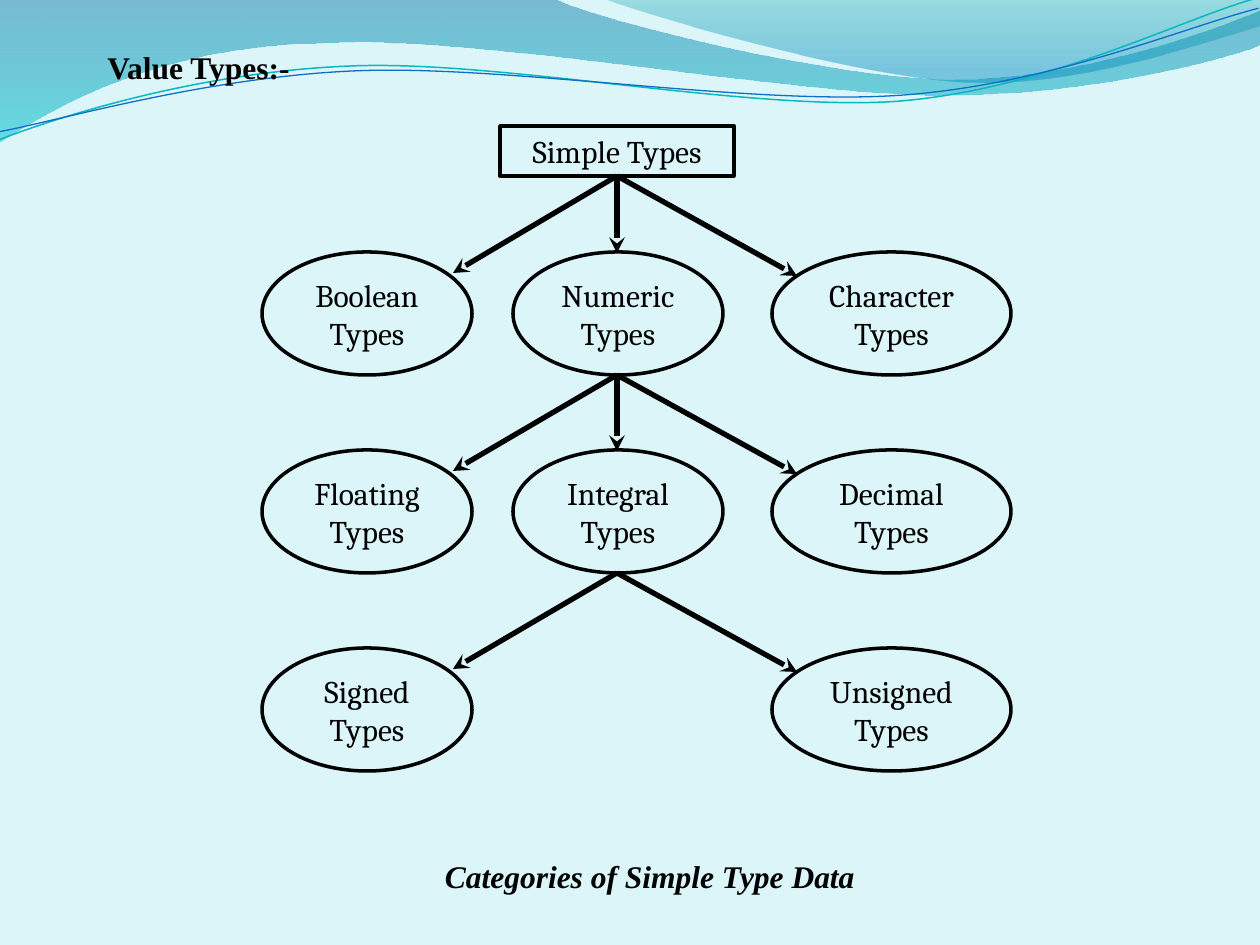
from lxml.etree import SubElement
from pptx import Presentation
from pptx.dml.color import RGBColor
from pptx.enum.shapes import MSO_CONNECTOR, MSO_SHAPE
from pptx.enum.text import MSO_ANCHOR, MSO_AUTO_SIZE, PP_ALIGN
from pptx.oxml.ns import qn
from pptx.util import Pt

SCALE = 914400 / 126
BLACK = "000000"


def px(*values):
    return [round(value * SCALE) for value in values]


def tint(text):
    return RGBColor.from_string(text)


def curve(shapes, left, top, start, parts, close):
    flat = [spot for part in parts for spot in zip(part[::2], part[1::2])]
    points = [px(left + x, top + y) for x, y in [start] + flat]
    pen = shapes.build_freeform(*points[0], scale=1.0)
    pen.add_line_segments(points[1:], close=close)
    shape = pen.convert_to_shape()
    lines = iter(list(shape.element.spPr.iter(qn("a:lnTo"))))
    for part in parts:
        line = next(lines)
        if len(part) == 6:
            line.addprevious(bend := line.makeelement(qn("a:cubicBezTo")))
            for piece in (line, next(lines), next(lines)):
                bend.append(piece[0])
                piece.getparent().remove(piece)
    shape.shadow.inherit = False
    return shape


def band(shapes, left, top, start, parts, stops):
    shape = curve(shapes, left, top, start, parts, True)
    shape.line.fill.background()
    shape.fill.gradient()
    shape.fill.gradient_angle = 270
    for stop, (place, color, alpha) in zip(shape.fill.gradient_stops, stops):
        stop.position = place
        stop.color.rgb = tint(color)
    colors = shape.element.spPr.iter(qn("a:srgbClr"))
    for node, (place, color, alpha) in zip(colors, stops):
        SubElement(node, qn("a:alpha"), val=str(alpha * 1000))


def strand(shapes, left, top, start, parts, color, width):
    shape = curve(shapes, left, top, start, parts, False)
    shape.rotation = 357.3
    shape.fill.background()
    shape.line.color.rgb = tint(color)
    shape.line.width = Pt(width)


def waves(shapes, left, top):
    band(shapes, left, top, (0, 0), [
        (554, -1), (600, 21, 837, 79, 955, 79), (1075, 79, 1207, 33, 1260, 11),
        (1261, 45), (1239, 55, 1096, 96, 940, 95), (784, 95, 481, 35, 324, 43),
        (163, 45, 58, 105, -1, 142), (0, 0)],
        [(0, "0074A1", 45), (1, "00C6CF", 55)])
    band(shapes, left, top, (604, -1), [
        (641, 14, 859, 78, 969, 82), (1079, 87, 1211, 40, 1260, 26),
        (1260, 0), (604, -1)],
        [(0, "00A1A9", 30), (0.8, "008BBF", 45)])
    group = shapes.add_group_shape().shapes
    strand(group, left - 3, top + 28, (0, 82), [
        (60, 62, 201, 24, 352, 25), (501, 25, 747, 89, 898, 86),
        (1051, 81, 1186, 17, 1262, 0)], "0AB8BF", 0.85)
    strand(group, left - 3, top + 38, (0, 64), [
        (60, 56, 210, 19, 360, 20), (511, 21, 753, 74, 904, 70),
        (1055, 66, 1190, 15, 1264, 0)], "0F6FC6", 0.75)


def write(frame, text, face, align, bold=None, italic=None):
    para = frame.paragraphs[0]
    para.text = text
    para.alignment = align
    font = para.font
    font.name = face
    font.size = Pt(18)
    font.bold = bold
    font.italic = italic
    font.color.rgb = tint(BLACK)


def label(shapes, box, text, align, wrap, italic=None):
    frame = shapes.add_textbox(*px(*box)).text_frame
    frame.word_wrap = wrap
    frame.auto_size = MSO_AUTO_SIZE.SHAPE_TO_FIT_TEXT
    frame.vertical_anchor = MSO_ANCHOR.MIDDLE
    write(frame, text, "Times New Roman", align, True, italic)


def node(shapes, kind, box, text):
    shape = shapes.add_shape(kind, *px(*box))
    shape.shadow.inherit = False
    shape.fill.background()
    shape.line.color.rgb = tint(BLACK)
    shape.line.width = Pt(2)
    shape.text_frame.vertical_anchor = MSO_ANCHOR.TOP
    write(shape.text_frame, text, "Cambria", PP_ALIGN.CENTER)
    return shape


def arrow(shapes, start, end):
    link = shapes.add_connector(MSO_CONNECTOR.STRAIGHT, *px(*start, *end))
    link.line.color.rgb = tint(BLACK)
    link.line.width = Pt(3)
    SubElement(link.line._get_or_add_ln(), qn("a:tailEnd"), type="stealth")
    SubElement(link.element.spPr, qn("a:effectLst"))
    return link


def tree(shapes, left, top):
    root = node(shapes, MSO_SHAPE.RECTANGLE, (left + 238, top, 234, 50),
                "Simple Types")
    root.text_frame.paragraphs[0].space_after = Pt(10)
    rows = [("Boolean", "Numeric", "Character"),
            ("Floating", "Integral", "Decimal"),
            ("Signed", None, "Unsigned")]
    slots = [(0, 210, 191, 21), (251, 210, 355, 1), (510, 239, 535, 24)]
    high, pitch = 123, 198
    hub = left + 355
    base = top + 50
    for row, names in enumerate(rows):
        head = top + 126 + row * pitch
        for name, (x, width, tip, drop) in zip(names, slots):
            if not name:
                continue
            node(shapes, MSO_SHAPE.OVAL, (left + x, head, width, high),
                 f"{name} Types")
            link = arrow(shapes, (hub, base), (left + tip, head + drop))
            if row == 0:
                link.begin_connect(root, 2)
        base = head + high


def main():
    deck = Presentation()
    deck.slide_width, deck.slide_height = px(1260, 945)
    slide = deck.slides.add_slide(deck.slide_layouts[6])
    slide.background.fill.solid()
    slide.background.fill.fore_color.rgb = tint("DBF5F9")
    shapes = slide.shapes
    waves(shapes, 0, 0)
    label(shapes, (95, 42, 210, 50), "Value Types:-", PP_ALIGN.LEFT, True)
    tree(shapes.add_group_shape().shapes, 262, 126)
    label(shapes, (430, 851, 440, 50), "Categories of Simple Type Data",
          PP_ALIGN.CENTER, False, True)
    deck.save("out.pptx")


if __name__ == "__main__":
    main()
